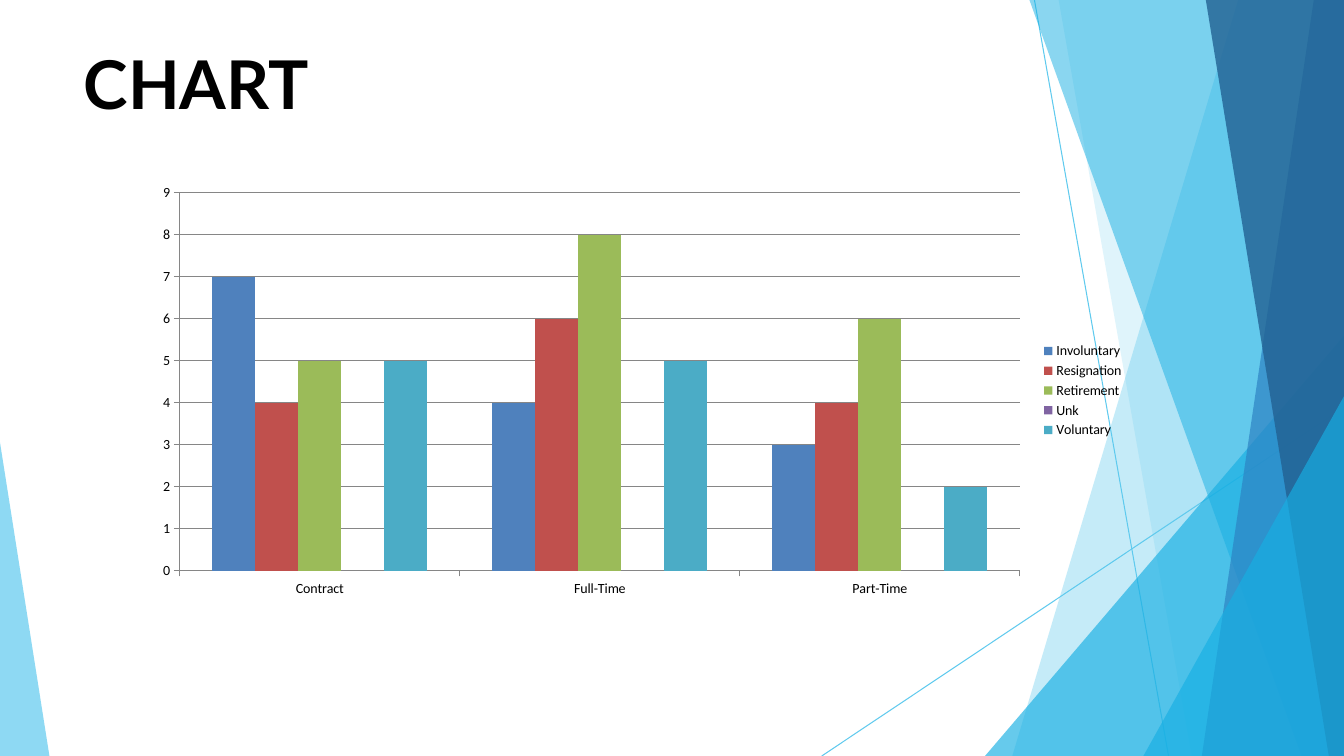
from lxml.etree import SubElement
from pptx import Presentation
from pptx.chart.data import CategoryChartData as Data
from pptx.dml.color import RGBColor
from pptx.enum.chart import XL_CHART_TYPE as Kind, XL_LEGEND_POSITION as Spot, XL_TICK_MARK as Tick
from pptx.enum.shapes import MSO_CONNECTOR as Link
from pptx.oxml.ns import qn
from pptx.util import Inches, Pt

W, H = 13.33, 7.5
SKY, CYAN, BLUE, NAVY = "5FCAEE", "17AFE3", "2D83C3", "226192"
GREY, BLACK = "868686", "000000"

TITLE = "CHART"
CATS = ["Contract", "Full-Time", "Part-Time"]
SERIES = [
    ("Involuntary", "4F81BD", (7, 4, 3)),
    ("Resignation", "C0504D", (4, 6, 4)),
    ("Retirement", "9BBB59", (5, 8, 6)),
    ("Unk", "8064A2", (None, None, None)),
    ("Voluntary", "4BACC6", (5, 5, 2)),
]
LINES = [((10.26, 0), (11.59, H)), ((W, 4.04), (8.15, H))]
# Facets on the right edge: top x, top y, bottom x, colour, opacity in percent
FACETS = [
    (12.28, 0, 10.04, SKY, 36),
    (10.5, 0, 11.82, SKY, 20),
    (W, 3.33, 9.77, CYAN, 66),
    (10.21, 0, 12.91, CYAN, 50),
    (13.03, 0, 11.92, BLUE, 70),
    (11.96, 0, 13.18, NAVY, 80),
    (W, 3.93, 11.34, CYAN, 66),
]
WEDGE = [(0, 4.39), (0, H), (0.49, H)]


def paint(fill, color):
    fill.solid()
    fill.fore_color.rgb = RGBColor.from_string(color)


def stroke(line, color):
    paint(line.fill, color)
    line.width = Pt(0.75)


def style(font, name, size, bold=False):
    font.name, font.size, font.bold = name, Pt(size), bold
    font.color.rgb = RGBColor.from_string(BLACK)


def add_line(slide, start, end):
    line = slide.shapes.add_connector(Link.STRAIGHT, *map(Inches, start + end))
    stroke(line.line, SKY)
    SubElement(line._element.spPr, qn("a:effectLst"))


def add_facet(slide, points, color, alpha):
    first, *rest = [(Inches(x), Inches(y)) for x, y in points]
    build = slide.shapes.build_freeform(*first)
    build.add_line_segments(rest, close=True)
    shape = build.convert_to_shape()
    shape.shadow.inherit = False
    shape.line.fill.background()
    paint(shape.fill, color)
    tint = shape._element.spPr.find(qn("a:solidFill"))[0]
    SubElement(tint, qn("a:alpha"), val=str(alpha * 1000))


def add_title(slide):
    box = slide.shapes.add_textbox(*map(Inches, (0.83, 0.42, 11.68, 0.83)))
    frame = box.text_frame
    frame.word_wrap = True
    frame.margin_left = frame.margin_right = frame.margin_top = frame.margin_bottom = 0
    run = frame.paragraphs[0].add_run()
    run.text = TITLE
    style(run.font, "Lato", 48, True)


def add_columns(slide):
    data = Data()
    data.categories = CATS
    for name, _, vals in SERIES:
        data.add_series(name, vals)
    area = map(Inches, (1.42, 1.75, 9.83, 4.25))
    chart = slide.shapes.add_chart(Kind.COLUMN_CLUSTERED, *area, data).chart
    style(chart.font, "Calibri", 10)
    chart.has_title = False
    chart.has_legend = True
    chart.legend.position = Spot.RIGHT
    chart.legend.include_in_layout = False
    plot = chart.plots[0]
    plot.gap_width, plot.overlap, plot.vary_by_categories = 150, 0, False
    for bars, (_, color, _) in zip(plot.series, SERIES):
        paint(bars.format.fill, color)
    for axis in (chart.category_axis, chart.value_axis):
        axis.major_tick_mark, axis.minor_tick_mark = Tick.OUTSIDE, Tick.NONE
        stroke(axis.format.line, GREY)
    axis = chart.value_axis
    axis.minimum_scale, axis.maximum_scale, axis.major_unit = 0, 9, 1
    axis.has_major_gridlines = True
    stroke(axis.major_gridlines.format.line, GREY)


def main():
    deck = Presentation()
    deck.slide_width, deck.slide_height = Inches(W), Inches(H)
    slide = deck.slides.add_slide(deck.slide_layouts[6])
    for start, end in LINES:
        add_line(slide, start, end)
    for top, y, foot, color, alpha in FACETS:
        edge = [(W, y)] if top < W else []
        add_facet(slide, edge + [(top, y), (foot, H), (W, H)], color, alpha)
    add_facet(slide, WEDGE, SKY, 70)
    add_title(slide)
    add_columns(slide)
    deck.save("out.pptx")


if __name__ == "__main__":
    main()
